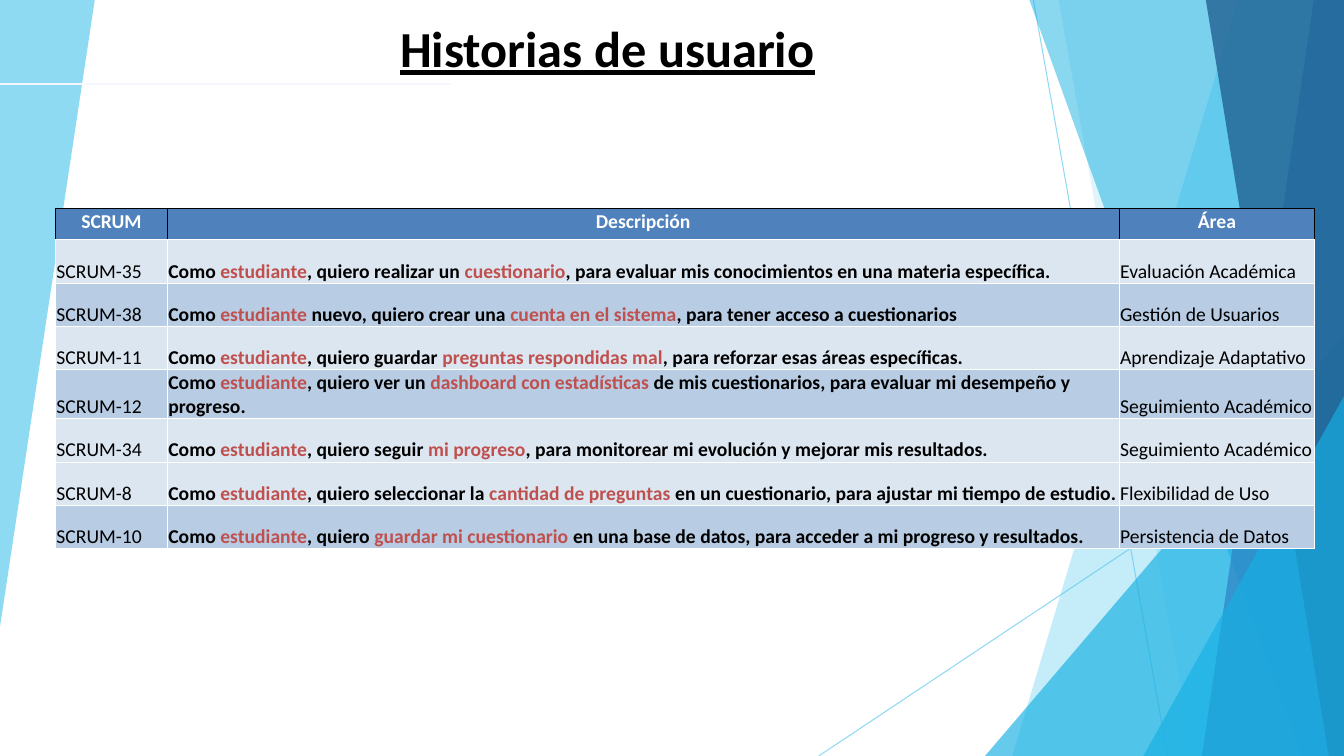
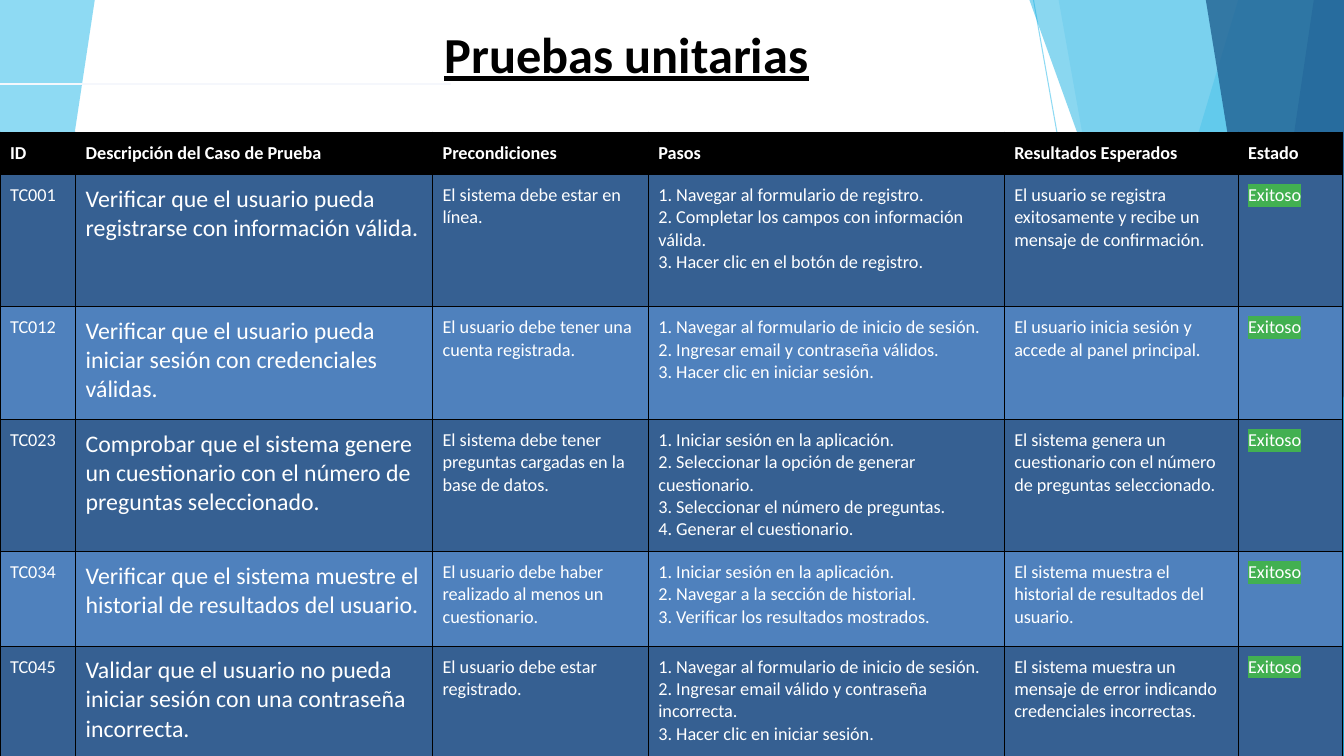
from lxml import etree
from pptx import Presentation, util as u
from pptx.dml.color import RGBColor
from pptx.enum import shapes, text
from pptx.oxml import parse_xml
from pptx.oxml.ns import nsdecls, qn

Inches = u.Inches
hue = RGBColor.from_string
BLACK, WHITE, RED = "000000", "FFFFFF", "C0504D"
SKY, CYAN, BLUE, NAVY = "5FCBEF", "16B0E3", "2E83C3", "226292"
HEAD, PALE, MID, DEEP = "4F81BD", "DCE6F1", "B8CCE4", "366092"
GREEN = "42B051"


def put(para, words, size, color, bold=False):
    run = para.add_run()
    run.text = words
    run.font.name = "Calibri"
    run.font.size = u.Pt(size)
    run.font.bold = bold
    run.font.color.rgb = hue(color)
    return run


def pane(cell, color, pads, edges):
    cell.fill.solid()
    cell.fill.fore_color.rgb = hue(color)
    cell.margin_left, cell.margin_top, cell.margin_right, cell.margin_bottom = map(Inches, pads)
    props = cell._tc.get_or_add_tcPr()
    for spot, (side, edge) in enumerate(zip("LRTB", edges)):
        props.insert(spot, parse_xml(
            f'<a:ln{side} {nsdecls("a")} w="9525"><a:solidFill>'
            f'<a:srgbClr val="{edge}"/></a:solidFill></a:ln{side}>'))


deck = Presentation()
deck.slide_width, deck.slide_height = Inches(13.33), Inches(7.5)
plain = deck.slide_layouts[5]
for holder in list(plain.placeholders):
    if holder.placeholder_format.idx:
        holder._element.getparent().remove(holder._element)

pages = []
for name, wide, top in [("Historias de usuario", 12.05, 0.12), ("Pruebas unitarias", 12.43, 0.18)]:
    page = deck.slides.add_slide(plain)
    title = page.shapes.title
    title.left, title.top, title.width, title.height = map(Inches, (0, top, wide, 0.71))
    frame = title.text_frame
    frame.auto_size = text.MSO_AUTO_SIZE.NONE
    frame.vertical_anchor = text.MSO_ANCHOR.TOP
    frame.paragraphs[0].alignment = text.PP_ALIGN.CENTER
    put(frame.paragraphs[0], name, 36, BLACK, True).font.underline = True
    pages.append(page)

decor = [
    ("poly", [(0, 0), (0.94, 0), (0, 6.22)], SKY, 70),
    ("line", (10.25, 0, 11.58, 7.5), SKY, 70),
    ("line", (13.33, 4.03, 8.12, 7.5), SKY, 70),
    ("poly", [(12.28, 0), (13.33, 0), (13.33, 7.5), (10.04, 7.5)], SKY, 36),
    ("poly", [(10.5, 0), (13.33, 0), (13.33, 7.5), (11.83, 7.5)], SKY, 20),
    ("wedge", (9.77, 3.33, 3.56, 4.17), CYAN, 66),
    ("poly", [(10.21, 0), (13.33, 0), (13.33, 7.5), (12.91, 7.5)], CYAN, 50),
    ("poly", [(13.03, 0), (13.33, 0), (13.33, 7.5), (11.92, 7.5)], BLUE, 70),
    ("poly", [(11.96, 0), (13.33, 0), (13.33, 7.5), (13.18, 7.5)], NAVY, 80),
    ("wedge", (11.34, 3.93, 1.99, 3.57), CYAN, 66),
    ("line", (0, 0.83, 4.47, 0.83), "F5F7FC", 100),
]
art = pages[0].shapes
for kind, data, color, alpha in decor:
    if kind == "line":
        item = art.add_connector(shapes.MSO_CONNECTOR.STRAIGHT, *map(Inches, data))
        item.line.color.rgb = hue(color)
        item.line.width = u.Pt(1.25 if alpha == 100 else 0.75)
        etree.SubElement(item._element.spPr, qn("a:effectLst"))
    else:
        if kind == "poly":
            dots = [(Inches(x), Inches(y)) for x, y in data]
            pen = art.build_freeform(*dots[0])
            pen.add_line_segments(dots[1:], close=True)
            item = pen.convert_to_shape()
        else:
            item = art.add_shape(shapes.MSO_SHAPE.ISOSCELES_TRIANGLE, *map(Inches, data))
            item.adjustments[0] = 1
        item.fill.solid()
        item.fill.fore_color.rgb = hue(color)
        item.line.fill.background()
        item.shadow.inherit = False
    if alpha < 100:
        for tone in item._element.spPr.iter(qn("a:srgbClr")):
            etree.SubElement(tone, qn("a:alpha"), val=str(alpha * 1000))
    plain.shapes._spTree.append(item._element)

tales = [
    ("SCRUM-35", "Como |estudiante|, quiero realizar un |cuestionario|, para evaluar mis conocimientos en una materia específica.", "Evaluación Académica", PALE),
    ("SCRUM-38", "Como |estudiante| nuevo, quiero crear una |cuenta en el sistema|, para tener acceso a cuestionarios", "Gestión de Usuarios", MID),
    ("SCRUM-11", "Como |estudiante|, quiero guardar |preguntas respondidas mal|, para reforzar esas áreas específicas.", "Aprendizaje Adaptativo", PALE),
    ("SCRUM-12", "Como |estudiante|, quiero ver un |dashboard con estadísticas |de mis cuestionarios, para evaluar mi desempeño y progreso.", "Seguimiento Académico", MID),
    ("SCRUM-34", "Como |estudiante|, quiero seguir |mi progreso|, para monitorear mi evolución y mejorar mis resultados.", "Seguimiento Académico", PALE),
    ("SCRUM-8", "Como |estudiante|, quiero seleccionar la |cantidad de preguntas |en un cuestionario, para ajustar mi tiempo de estudio.", "Flexibilidad de Uso", PALE),
    ("SCRUM-10", "Como |estudiante|, quiero |guardar mi cuestionario |en una base de datos, para acceder a mi progreso y resultados.", "Persistencia de Datos", MID),
]
tests = [
    ("TC001", "Verificar que el usuario pueda registrarse con información válida.",
     "El sistema debe estar en línea.",
     "1. Navegar al formulario de registro.\n2. Completar los campos con información válida.\n3. Hacer clic en el botón de registro.",
     "El usuario se registra exitosamente y recibe un mensaje de confirmación."),
    ("TC012", "Verificar que el usuario pueda iniciar sesión con credenciales válidas.",
     "El usuario debe tener una cuenta registrada.",
     "1. Navegar al formulario de inicio de sesión.\n2. Ingresar email y contraseña válidos.\n3. Hacer clic en iniciar sesión.",
     "El usuario inicia sesión y accede al panel principal."),
    ("TC023", "Comprobar que el sistema genere un cuestionario con el número de preguntas seleccionado.",
     "El sistema debe tener preguntas cargadas en la base de datos.",
     "1. Iniciar sesión en la aplicación.\n2. Seleccionar la opción de generar cuestionario.\n3. Seleccionar el número de preguntas.\n4. Generar el cuestionario.",
     "El sistema genera un cuestionario con el número de preguntas seleccionado."),
    ("TC034", "Verificar que el sistema muestre el historial de resultados del usuario.",
     "El usuario debe haber realizado al menos un cuestionario.",
     "1. Iniciar sesión en la aplicación.\n2. Navegar a la sección de historial.\n3. Verificar los resultados mostrados.",
     "El sistema muestra el historial de resultados del usuario."),
    ("TC045", "Validar que el usuario no pueda iniciar sesión con una contraseña incorrecta.",
     "El usuario debe estar registrado.",
     "1. Navegar al formulario de inicio de sesión.\n2. Ingresar email válido y contraseña incorrecta.\n3. Hacer clic en iniciar sesión.",
     "El sistema muestra un mensaje de error indicando credenciales incorrectas."),
]
plans = [
    (0.55, 2.07, [1.11, 9.44, 1.94], [0.31] + [0.43] * 7),
    (0, 1.31, [0.75, 3.54, 2.14, 3.53, 2.32, 1.04], [0.38, 1.31, 1.12, 1.31, 0.94, 1.12]),
]
grids = []
for page, (left, top, cols, rows) in zip(pages, plans):
    grid = page.shapes.add_table(len(rows), len(cols), Inches(left), Inches(top),
                                 Inches(sum(cols)), Inches(sum(rows))).table
    grid.horz_banding = False
    for col, wide in zip(grid.columns, cols):
        col.width = Inches(wide)
    for row, high in zip(grid.rows, rows):
        row.height = Inches(high)
    grids.append(grid)

stories, cases = grids
slim = (0.01, 0.01, 0.01, 0)
for cell, label in zip(stories.rows[0].cells, ["SCRUM", "Descripción", "Área"]):
    pane(cell, HEAD, slim, [BLACK, BLACK, BLACK, WHITE])
    para = cell.text_frame.paragraphs[0]
    para.alignment = text.PP_ALIGN.CENTER
    put(para, label, 14, WHITE, True)
for r, (*words, band) in enumerate(tales, 1):
    for c, phrase in enumerate(words):
        cell = stories.cell(r, c)
        pane(cell, band, slim, [WHITE] * 4)
        cell.vertical_anchor = text.MSO_ANCHOR.BOTTOM
        for n, part in enumerate(phrase.split("|")):
            put(cell.text_frame.paragraphs[0], part, 14, RED if n % 2 else BLACK, c == 1)

heads = ("ID", "Descripción del Caso de Prueba", "Precondiciones", "Pasos", "Resultados Esperados", "Estado")
for r, words in enumerate([heads] + [test + ("Exitoso",) for test in tests]):
    band = BLACK if r == 0 else DEEP if r % 2 else HEAD
    for c, phrase in enumerate(words):
        cell = cases.cell(r, c)
        pane(cell, band, [0.1] * 4, [BLACK] * 4)
        frame = cell.text_frame
        for n, step in enumerate(phrase.split("\n")):
            para = frame.add_paragraph() if n else frame.paragraphs[0]
            run = put(para, step, 17 if r and c == 1 else 13, WHITE, r == 0)
        if r and c == 5:
            run._r.rPr.find(qn("a:solidFill")).addnext(parse_xml(
                f'<a:highlight {nsdecls("a")}><a:srgbClr val="{GREEN}"/></a:highlight>'))

deck.save("out.pptx")
